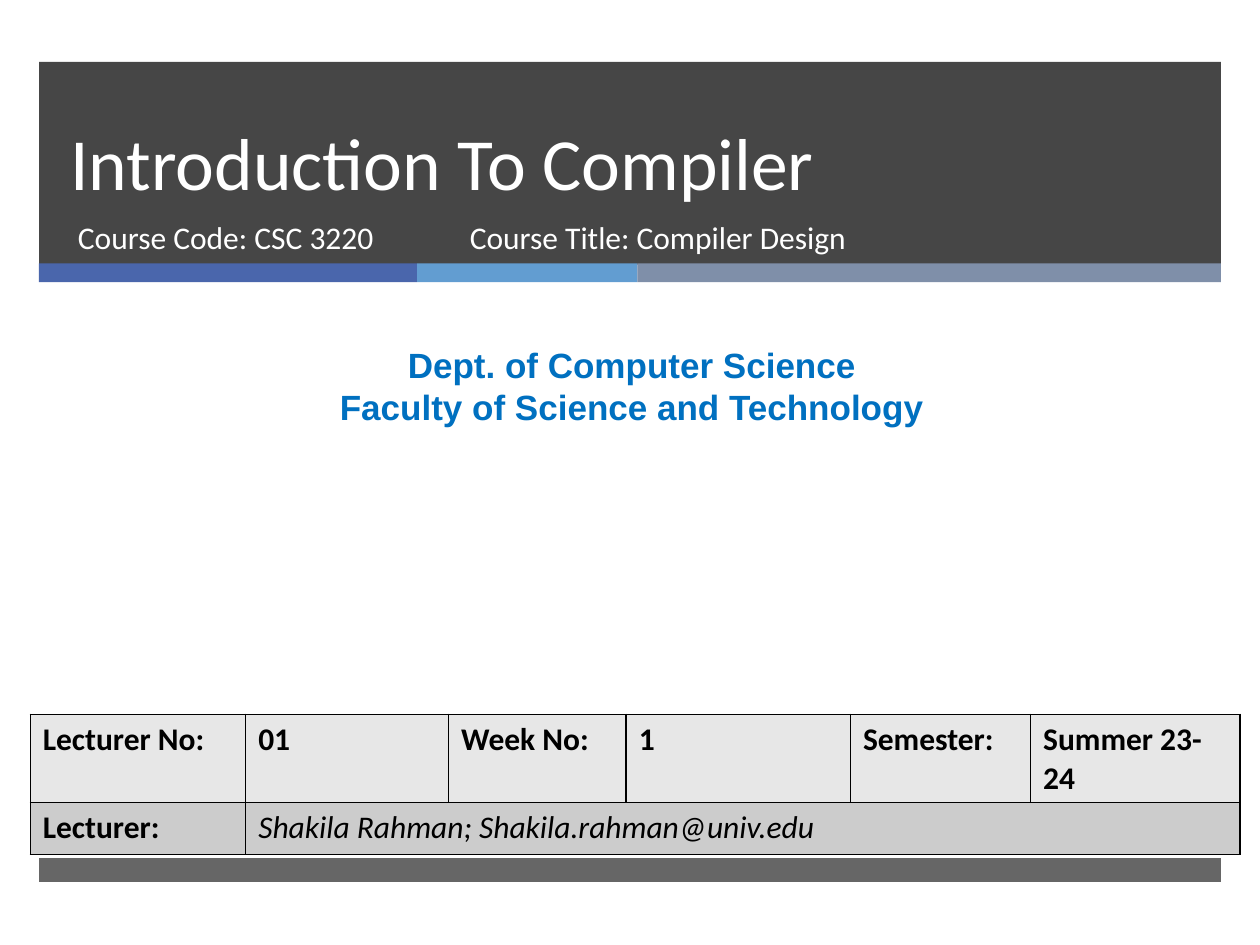
from dataclasses import dataclass

from lxml import etree
from pptx import Presentation
from pptx import util as u
from pptx.dml.color import RGBColor
from pptx.enum import shapes, text
from pptx.oxml import ns


@dataclass(frozen=True)
class Theme:
    dark: str = "262626"
    accents: tuple = ("4A66AC", "629DD1", "7F8FA9")
    white: str = "FFFFFF"
    black: str = "000000"
    department: str = "0070C0"
    rows: tuple = ("E7E7E7", "CCCCCC")
    body_font: str = "Calibri"
    department_font: str = "Arial"
    title_size: int = 42
    department_size: int = 20
    body_size: int = 18


theme = Theme()


def add_bar(left, top, width, height, color, opacity=100):
    bar = page.shapes.add_shape(
        shapes.MSO_SHAPE.RECTANGLE,
        u.Inches(left), u.Inches(top), u.Inches(width), u.Inches(height))
    bar.shadow.inherit = False
    bar.line.fill.background()
    bar.fill.solid()
    bar.fill.fore_color.rgb = RGBColor.from_string(color)
    if opacity < 100:
        tone = bar.fill._xPr.find(".//" + ns.qn("a:srgbClr"))
        etree.SubElement(tone, ns.qn("a:alpha"), val=str(opacity * 1000))


def write(frame, lines, size, color, font=theme.body_font, bold=False, italic=False):
    frame.word_wrap = True
    for index, line in enumerate(lines):
        para = frame.paragraphs[0] if index == 0 else frame.add_paragraph()
        para.text = line
        para.alignment = text.PP_ALIGN.LEFT
        para.font.name = font
        para.font.size = u.Pt(size)
        para.font.bold = bold
        para.font.italic = italic
        para.font.color.rgb = RGBColor.from_string(color)


deck = Presentation()
deck.slide_width, deck.slide_height = u.Inches(10), u.Inches(7.5)
page = deck.slides.add_slide(deck.slide_layouts[5])

# Header band, accent strip and footer bar
margin, band_width = 0.31, 9.38
add_bar(margin, 0.49, band_width, 1.61, theme.dark, 85)
strip_left = margin
for strip_width, accent in zip((3, 1.75, 4.63), theme.accents):
    add_bar(strip_left, 2.09, strip_width, 0.15, accent)
    strip_left += strip_width
add_bar(margin, 6.81, band_width, 0.19, theme.dark, 70)

# Title, brought in front of the band
title = page.shapes.title
title._element.getparent().append(title._element)
title.left, title.top = u.Inches(0.46), u.Inches(0.49)
title.width, title.height = u.Inches(8.54), u.Inches(1.19)
title.text_frame.auto_size = text.MSO_AUTO_SIZE.NONE
title.text_frame.vertical_anchor = text.MSO_ANCHOR.BOTTOM
write(title.text_frame, ["Introduction To Compiler"], theme.title_size, theme.white)
title.text_frame.paragraphs[0].line_spacing = u.Pt(46)

# Course details
for left, width, course in ((0.52, 3.05, "Course Code: CSC 3220"),
                            (3.63, 4.55, "Course Title: Compiler Design")):
    box = page.shapes.add_textbox(
        u.Inches(left), u.Inches(1.68), u.Inches(width), u.Inches(0.53))
    write(box.text_frame, [course], theme.body_size, theme.white)

# Department
box = page.shapes.add_textbox(
    u.Inches(0.08), u.Inches(2.68), u.Inches(9.87), u.Inches(0.77))
write(box.text_frame,
      ["Dept. of Computer Science", "Faculty of Science and Technology"],
      theme.department_size, theme.department, theme.department_font, bold=True)
for para in box.text_frame.paragraphs:
    para.alignment = text.PP_ALIGN.CENTER

# Lecture table
column_widths = (1.71, 1.61, 1.41, 1.78, 1.43, 1.66)
row_heights = (0.7, 0.41)
entries = (
    ("Lecturer No:", "01", "Week No:", "1", "Semester:", "Summer 23-24"),
    ("Lecturer:", "Shakila Rahman; Shakila.rahman@univ.edu"),
)
table = page.shapes.add_table(
    len(row_heights), len(column_widths), u.Inches(0.24), u.Inches(5.67),
    u.Inches(sum(column_widths)), u.Inches(sum(row_heights))).table
for column, width in zip(table.columns, column_widths):
    column.width = u.Inches(width)
for row, height in zip(table.rows, row_heights):
    row.height = u.Inches(height)
table.cell(1, 1).merge(table.cell(1, 5))

for row, row_entries, row_color in zip(table.rows, entries, theme.rows):
    for cell in row.cells:
        properties = cell._tc.get_or_add_tcPr()
        for side in ("lnL", "lnR", "lnT", "lnB"):
            border = etree.SubElement(properties, ns.qn("a:" + side), w=str(u.Pt(1)))
            border_fill = etree.SubElement(border, ns.qn("a:solidFill"))
            etree.SubElement(border_fill, ns.qn("a:srgbClr"), val=theme.black)
        cell.fill.solid()
        cell.fill.fore_color.rgb = RGBColor.from_string(row_color)
    for cell, entry in zip(row.cells, row_entries):
        is_name = cell.is_merge_origin
        write(cell.text_frame, [entry], theme.body_size, theme.black,
              bold=not is_name, italic=is_name)

deck.save("out.pptx")
